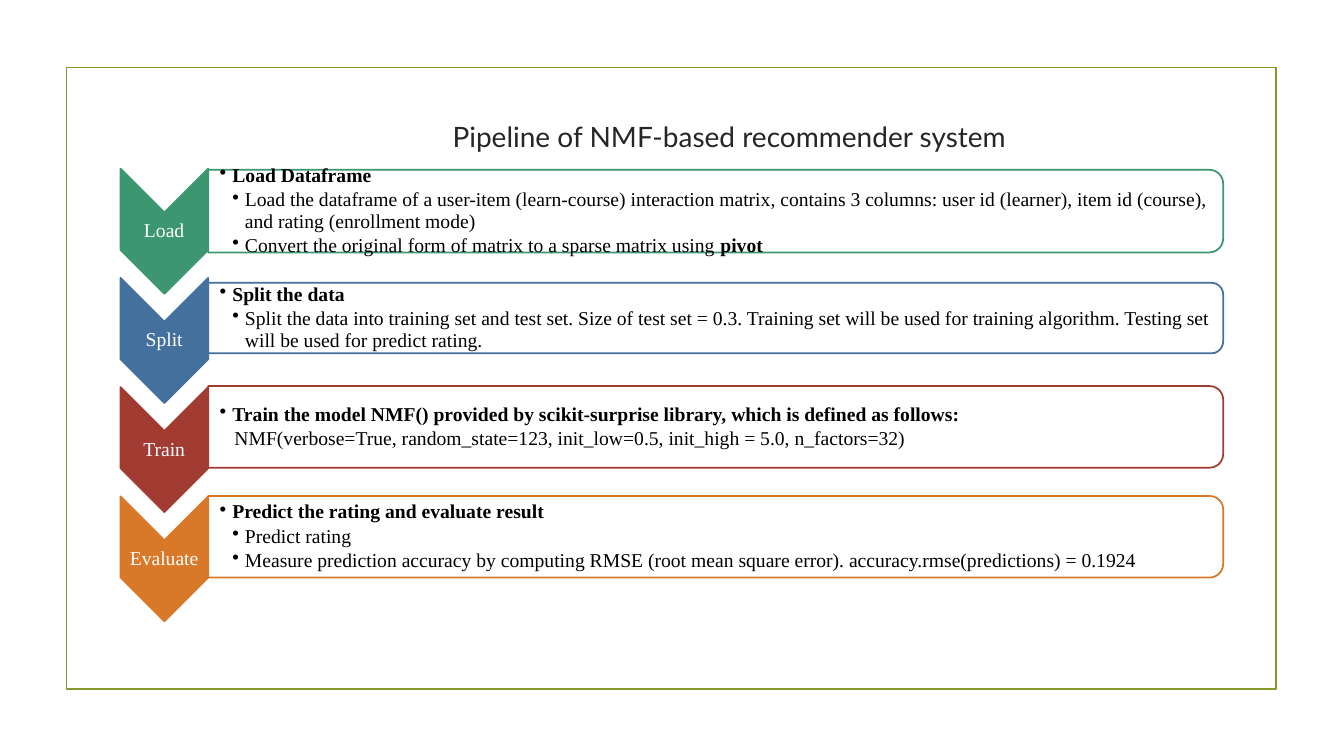
import pptx
import pptx.util
import pptx.dml.color
import pptx.enum.shapes
import pptx.enum.text
import pptx.oxml
import pptx.oxml.ns

Pt = pptx.util.Pt
RGBColor = pptx.dml.color.RGBColor
SHAPE = pptx.enum.shapes.MSO_SHAPE
ALIGN = pptx.enum.text.PP_ALIGN
MIDDLE = pptx.enum.text.MSO_ANCHOR.MIDDLE

WHITE = RGBColor(0xFF, 0xFF, 0xFF)
BLACK = RGBColor(0x00, 0x00, 0x00)
CHARCOAL = RGBColor(0x26, 0x26, 0x26)
OLIVE = RGBColor(0x83, 0x99, 0x2A)
GREEN = RGBColor(0x3C, 0x97, 0x70)
BLUE = RGBColor(0x44, 0x70, 0x9D)
RED = RGBColor(0xA2, 0x3C, 0x33)
ORANGE = RGBColor(0xD9, 0x78, 0x28)

TITLE = {"size": Pt(20), "name": "Lato"}
BODY = {"size": Pt(14), "name": "Times New Roman", "bold": False}
HEADING = {**BODY, "bold": True}

# Paragraph kinds: left margin, first-line indent, bullet
TOP, SUB, CODE = (9, -9, "•"), (18, -9, "•"), (10.5, 0, None)

# Label, colour, bar centre, bar height, paragraphs of (kind, runs)
STEPS = [
    ("Load", GREEN, 150.8, 59, [
        (TOP, [("Load Dataframe", HEADING)]),
        (SUB, [("Load the dataframe of a user-item (learn-course) interaction matrix, contains 3 columns: "
                "user id (learner), item id (course), and rating (enrollment mode)", BODY)]),
        (SUB, [("Convert the original form of matrix to a sparse matrix using ", BODY), ("pivot", HEADING)])]),
    ("Split", BLUE, 227.2, 50.4, [
        (TOP, [("Split the data", HEADING)]),
        (SUB, [("Split the data into training set and test set. Size of test set = 0.3. Training set will be "
                "used for training algorithm. Testing set will be used for predict rating.", BODY)])]),
    ("Train", RED, 304.9, 58.3, [
        (TOP, [("Train the model NMF() provided by scikit-surprise library, which is defined as follows:", HEADING)]),
        (CODE, [("NMF(verbose=True, random_state=123, init_low=0.5, init_high = 5.0, n_factors=32)", BODY)])]),
    ("Evaluate", ORANGE, 383.4, 58.3, [
        (TOP, [("Predict the rating and evaluate result", HEADING)]),
        (SUB, [("Predict rating", BODY)]),
        (SUB, [("Measure prediction accuracy by computing RMSE (root mean square error). "
                "accuracy.rmse(predictions) = 0.1924", BODY)])]),
]

deck = pptx.Presentation()
deck.slide_width, deck.slide_height = Pt(960), Pt(540)
slide = deck.slides.add_slide(deck.slide_layouts[6])


def add_outline(preset, center_x, center_y, width, height, line, fill=None, rotation=0):
    shape = slide.shapes.add_shape(preset, Pt(center_x - width / 2), Pt(center_y - height / 2),
                                   Pt(width), Pt(height))
    shape.rotation = rotation
    shape.shadow.inherit = False
    shape.line.color.rgb = line
    shape.line.width = Pt(1.25)
    if fill is None:
        shape.fill.background()
    else:
        shape.fill.solid()
        shape.fill.fore_color.rgb = fill
    return shape


def add_text(left, center_y, width, height, paragraphs, color, align, inset):
    frame = slide.shapes.add_textbox(Pt(left), Pt(center_y - height / 2), Pt(width), Pt(height)).text_frame
    layout = {"word_wrap": True, "vertical_anchor": MIDDLE, "margin_left": Pt(inset),
              "margin_right": Pt(0.7), "margin_top": Pt(0.7), "margin_bottom": Pt(0.7)}
    for key, value in layout.items():
        setattr(frame, key, value)
    for number, (kind, runs) in enumerate(paragraphs):
        paragraph = frame.add_paragraph() if number else frame.paragraphs[0]
        paragraph.alignment = align
        paragraph.line_spacing = 0.9
        if kind:
            margin, indent, bullet = kind
            paragraph.space_after = Pt(2.1)
            properties = paragraph._p.get_or_add_pPr()
            properties.set("marL", str(Pt(margin)))
            properties.set("indent", str(Pt(indent)))
            if bullet:
                mark = pptx.oxml.parse_xml(f'<a:buChar {pptx.oxml.ns.nsdecls("a")} char="{bullet}"/>')
                properties.append(mark)
        for words, style in runs:
            run = paragraph.add_run()
            run.text = words
            run.font.color.rgb = color
            for key, value in style.items():
                setattr(run.font, key, value)


# Frame and title
add_outline(SHAPE.RECTANGLE, 479.5, 270.2, 864, 444, OLIVE)
add_text(119.5, 99, 803, 64, [(None, [("Pipeline of NMF-based recommender system", TITLE)])],
         CHARCOAL, ALIGN.CENTER, 0.7)

# Pipeline steps: downward chevron with its label, then the bar with its details
for index, (label, color, bar_y, bar_height, details) in enumerate(STEPS):
    chevron_y = 165.2 + 78 * index
    add_outline(SHAPE.CHEVRON, 117.4, chevron_y, 89.3, 62.6, color, color, 90)
    add_text(86, chevron_y, 62.6, 26.8, [(None, [(label, BODY)])], WHITE, ALIGN.CENTER, 0.7)

    bar = add_outline(SHAPE.ROUND_2_SAME_RECTANGLE, 511.2, bar_y, bar_height, 725, color, WHITE, 90)
    white_fill = bar._element.spPr.find(".//" + pptx.oxml.ns.qn("a:srgbClr"))
    white_fill.append(pptx.oxml.parse_xml(f'<a:alpha {pptx.oxml.ns.nsdecls("a")} val="90000"/>'))
    add_text(149, bar_y, 722.2, bar_height - 5.8, details, BLACK, ALIGN.LEFT, 8)

deck.save("out.pptx")
